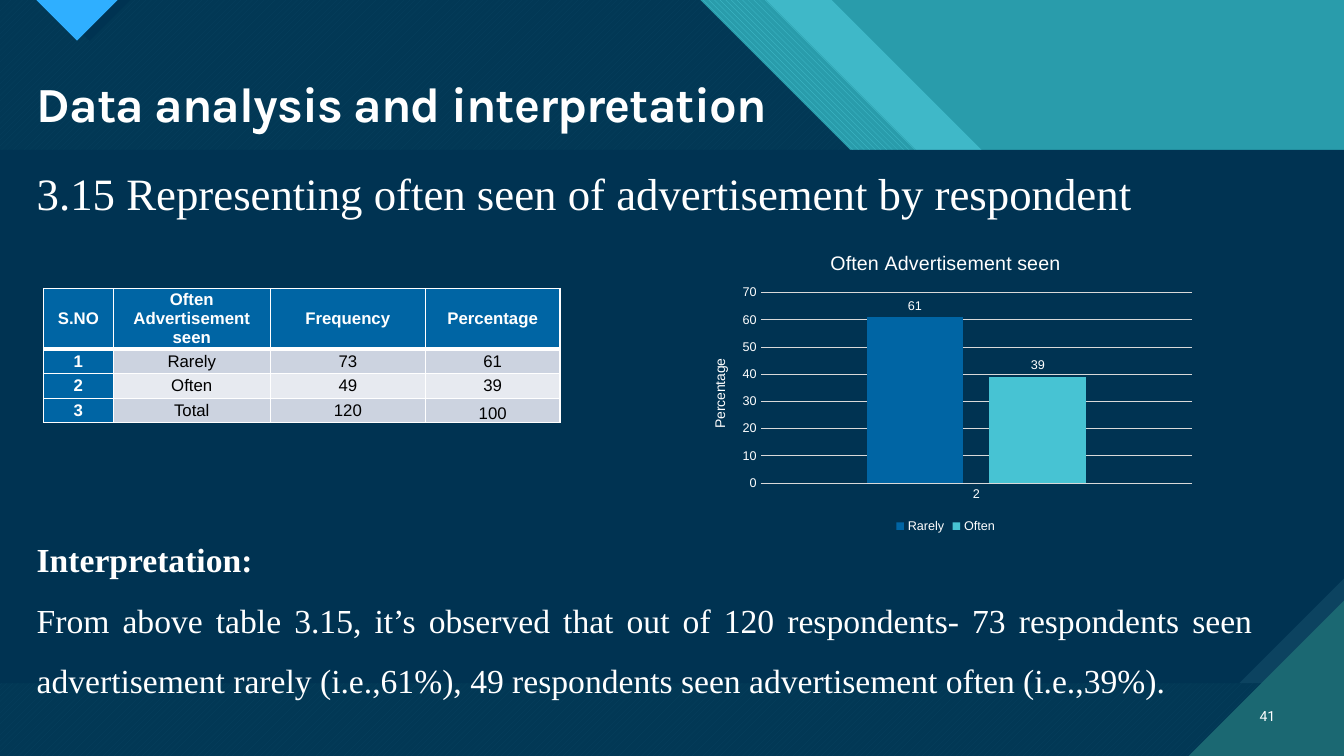
from lxml import etree
from pptx import Presentation
from pptx import util as u
from pptx.chart import data
from pptx.dml import color
from pptx.enum import chart, dml, text
from pptx.oxml import ns

WHITE, NAVY, BLUE, AQUA, TEAL = "FFFFFF", "003352", "0065A4", "47C3D3", "299CAB"
GRID = "D9D9D9"


def hue(code):
    return color.RGBColor.from_string(code)


def put(thing, **vals):
    for key, val in vals.items():
        setattr(thing, key, val)


def sub(node, tag, **vals):
    return etree.SubElement(node, ns.qn(tag), vals)


class Deck:
    """Hold the style and current slide, and add each kind of element."""

    def __init__(self):
        self.prs = Presentation()
        put(self.prs, slide_width=u.Pt(960), slide_height=u.Pt(540))
        self.slide = self.prs.slides.add_slide(self.prs.slide_layouts[3])
        self.shapes = self.slide.shapes
        self.paint(self.slide.background.fill, TEAL)

    def paint(self, fill, code, back=None, weave=None):
        if weave:
            fill.patterned()
            fill.pattern = weave
            fill.back_color.rgb = hue(back)
        else:
            fill.solid()
        fill.fore_color.rgb = hue(code)

    def font(self, font, size, code=WHITE, face="Arial", bold=False):
        put(font, size=u.Pt(size), name=face, bold=bold)
        font.color.rgb = hue(code)

    def area(self, dots, code, alpha=100, **weave):
        dots = [(u.Pt(x), u.Pt(y)) for x, y in dots]
        pen = self.shapes.build_freeform(*dots[0], scale=1.0)
        pen.add_line_segments(dots[1:], close=True)
        form = pen.convert_to_shape()
        form.shadow.inherit = False
        form.line.fill.background()
        self.paint(form.fill, code, **weave)
        if alpha < 100:
            tint = form.element.find(".//" + ns.qn("a:srgbClr"))
            sub(tint, "a:alpha", val=str(alpha * 1000))

    def band(self, x, code, **style):
        self.area([(0, 0), (x, 0), (x + 214, 214), (x + 305, 214),
                   (960, 869 - x), (960, 540), (0, 540)], code, **style)

    def words(self, box, place, lines, align, line=1.0, anchor="TOP", track=0):
        left, top, wide, high = map(u.Pt, place)
        put(box, left=left, top=top, width=wide, height=high)
        box.element.getparent().append(box.element)
        frame = box.text_frame
        put(frame, word_wrap=True, auto_size=text.MSO_AUTO_SIZE.NONE,
            vertical_anchor=getattr(text.MSO_ANCHOR, anchor))
        for i, (words, style) in enumerate(lines):
            para = frame.add_paragraph() if i else frame.paragraphs[0]
            put(para, alignment=getattr(text.PP_ALIGN, align),
                line_spacing=line, space_before=u.Pt(0))
            props = para._p.get_or_add_pPr()
            props.set("marL", "0")
            props.set("indent", "0")
            sub(props, "a:buNone")
            run = para.add_run()
            run.text = words
            self.font(run.font, **style)
            if track:
                run._r.get_or_add_rPr().set("spc", str(track))

    def edge(self, cell, sides):
        props = cell._tc.get_or_add_tcPr()
        for i, (side, width) in enumerate(sides.items()):
            line = etree.Element(ns.qn("a:ln" + side), w=str(u.Pt(width)))
            sub(sub(line, "a:solidFill"), "a:srgbClr", val=WHITE)
            props.insert(i, line)

    def table(self, place, rows, wides, highs):
        grid = self.shapes.add_table(len(rows), len(wides), *map(u.Pt, place)).table
        for part, wide in zip(grid.columns, wides):
            part.width = u.Pt(wide)
        for r, row in enumerate(rows):
            grid.rows[r].height = u.Pt(highs[r])
            for c, words in enumerate(row):
                cell = grid.cell(r, c)
                head = r == 0 or c == 0
                low = words == "100"
                put(cell, text=words, margin_left=u.Pt(5), margin_right=u.Pt(5),
                    margin_top=0, margin_bottom=0,
                    vertical_anchor=text.MSO_ANCHOR.BOTTOM if low else text.MSO_ANCHOR.MIDDLE)
                para = cell.text_frame.paragraphs[0]
                para.alignment = text.PP_ALIGN.CENTER
                self.font(para.runs[0].font, 12, WHITE if head else "000000", bold=head)
                self.edge(cell, {"L": 1, "R": 1, "T": 3 if r == 1 else 1, "B": 1 if r else 3})
                self.paint(cell.fill, BLUE if head else ("E7EAF0", "CCD3E0")[r % 2])

    def title(self, owner, words, size):
        owner.text_frame.text = words
        self.font(owner.text_frame.paragraphs[0].runs[0].font, size)

    def rule(self, line):
        line.width = u.Pt(0.75)
        line.color.rgb = hue(GRID)

    def chart(self, place, name, unit, cats, bars):
        facts = data.CategoryChartData()
        facts.categories = cats
        for label, val, _ in bars:
            facts.add_series(label, [val])
        kind = chart.XL_CHART_TYPE.COLUMN_CLUSTERED
        plan = self.shapes.add_chart(kind, *map(u.Pt, place), facts).chart
        self.font(plan.font, 10)
        put(plan, has_title=True, has_legend=True)
        self.title(plan.chart_title, name, 14)
        put(plan.legend, position=chart.XL_LEGEND_POSITION.BOTTOM, include_in_layout=False)
        self.font(plan.legend.font, 9)

        plot = plan.plots[0]
        put(plot, gap_width=219, overlap=-27, vary_by_categories=False)
        for bar, (_, _, code) in zip(plot.series, bars):
            self.paint(bar.format.fill, code)
            put(bar.data_labels, show_value=True,
                position=chart.XL_LABEL_POSITION.OUTSIDE_END)
            self.font(bar.data_labels.font, 9)

        base, side = plan.category_axis, plan.value_axis
        for axis in (base, side):
            axis.major_tick_mark = axis.minor_tick_mark = chart.XL_TICK_MARK.NONE
            self.font(axis.tick_labels.font, 9)
        put(side, minimum_scale=0, maximum_scale=70, major_unit=10, has_title=True)
        self.rule(base.format.line)
        self.rule(side.major_gridlines.format.line)
        side.format.line.fill.background()
        self.title(side.axis_title, unit, 10)
        side.axis_title.element.find(".//" + ns.qn("a:bodyPr")).set("rot", "-5400000")

        zone = plan.element.find(".//" + ns.qn("c:plotArea"))
        for old in zone.findall(ns.qn("c:layout")):
            zone.remove(old)
        spot = etree.Element(ns.qn("c:layout"))
        zone.insert(0, spot)
        spot = sub(spot, "c:manualLayout")
        for tag, val in dict(layoutTarget="inner", xMode="edge", yMode="edge",
                             x="0.14", y="0.19", w="0.84", h="0.63").items():
            sub(spot, "c:" + tag, val=val)


def main():
    deck = Deck()
    weave = dml.MSO_PATTERN
    deck.band(594, AQUA, alpha=74)
    deck.band(547, AQUA, back=TEAL, weave=weave.WIDE_DOWNWARD_DIAGONAL)
    deck.band(500, AQUA, back="1B6872", weave=weave.WIDE_UPWARD_DIAGONAL)
    deck.band(500, NAVY, alpha=90)
    for left, code in ((35, NAVY), (26, "2FAFFF")):
        deck.area([(left, 0), (left + 58, 0), (left + 29, 29)], code)
    deck.area([(885, 488), (960, 413), (960, 488)], "0C4360")
    deck.area([(0, 107), (960, 107), (960, 413), (885, 488), (0, 488)], NAVY)
    deck.area([(849, 540), (960, 540), (960, 429)], "1B6872")

    head, topic, note = deck.slide.placeholders
    serif = dict(face="Times New Roman")
    deck.words(head, (19, 54, 544, 45),
               [("Data analysis and interpretation", dict(size=35, face="Karla", bold=True))],
               "LEFT", 0.9, track=-70)
    deck.words(topic, (19, 115, 867, 46),
               [("3.15 Representing often seen of advertisement by respondent",
                 dict(size=32, **serif))], "JUSTIFY")
    deck.words(note, (19, 367, 883, 133),
               [("Interpretation:", dict(size=24, bold=True, **serif)),
                ("From above table 3.15, it’s observed that out of 120 respondents- "
                 "73 respondents seen advertisement rarely (i.e.,61%), "
                 "49 respondents seen advertisement often (i.e.,39%).",
                 dict(size=24, **serif))], "JUSTIFY", 1.5)
    deck.words(deck.shapes.add_textbox(0, 0, 0, 0), (886, 497, 32, 29),
               [("41", dict(size=10, face="Roboto"))], "RIGHT", anchor="MIDDLE")

    deck.table((31, 206, 369, 96),
               [("S.NO", "Often Advertisement seen", "Frequency", "Percentage"),
                ("1", "Rarely", "73", "61"),
                ("2", "Often", "49", "39"),
                ("3", "Total", "120", "100")],
               (50, 112, 111, 96), (43.5, 17.5, 17.5, 17.5))
    deck.chart((492, 168, 367, 216), "Often Advertisement seen", "Percentage", ["2"],
               [("Rarely", 61, BLUE), ("Often", 39, AQUA)])
    deck.prs.save("out.pptx")


if __name__ == "__main__":
    main()
